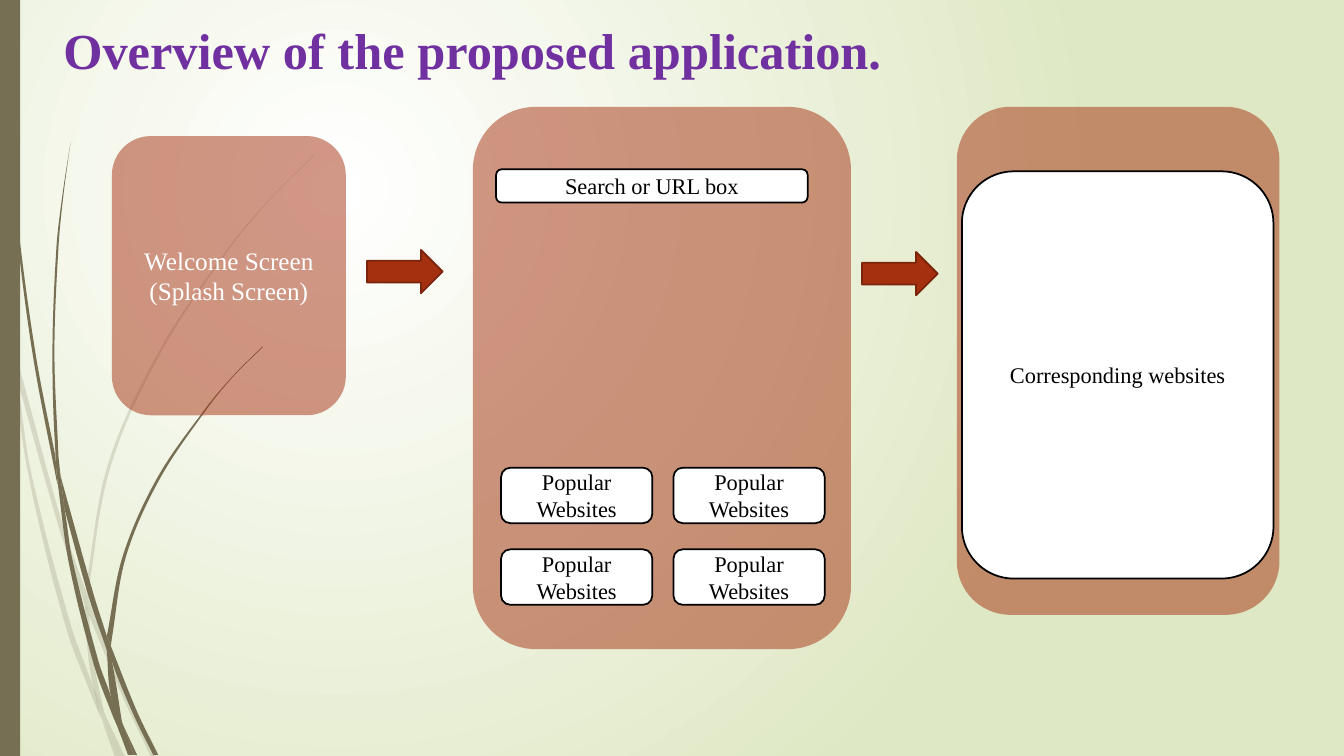
from dataclasses import dataclass
from itertools import product
from math import dist

from lxml.etree import SubElement
from pptx import Presentation
from pptx.dml.color import RGBColor
from pptx.enum.shapes import MSO_SHAPE
from pptx.enum.text import MSO_ANCHOR, PP_ALIGN
from pptx.oxml.ns import qn
from pptx.slide import Slide
from pptx.text.text import TextFrame
from pptx.util import Inches, Pt

FONT = "Times New Roman"
COLORS = {"white": "FFFFFF", "black": "000000", "meadow": "DFE8C4", "grass": "766F54",
          "rust": "A53010", "rust_edge": "7A240C", "purple": "7030A0"}
Point = tuple[float, float]


@dataclass
class Box:
    left: float
    top: float
    width: float
    height: float
    fill: str = "white"
    edge: str | None = "black"
    opacity: int = 100
    lines: tuple[str, ...] = ()
    size: int = 16
    ink: str = "black"
    kind: MSO_SHAPE = MSO_SHAPE.ROUNDED_RECTANGLE


@dataclass
class Blade:
    down: list[Point]
    up: list[Point]
    opacity: int = 100


PALE_BLADES = [
    ([(0, 2.82), (0.09, 3.22), (0.11, 3.5)], [(0.1, 3.44), (0, 2.99)]),
    ([(0.17, 3.76), (0.58, 5.22), (0.84, 5.99)], [(0.85, 5.86), (0.62, 5.2), (0.14, 3.45)]),
    ([(0.88, 6.1), (1.23, 6.94), (1.5, 7.51)],
     [(1.55, 7.51), (1.27, 6.92), (0.92, 6.07), (0.88, 5.96)]),
    ([(1.05, 7.11), (1.19, 7.51)], [(1.24, 7.51), (1.05, 7.11)]),
    ([(0.11, 3.5), (0.28, 4.7), (0.65, 6.21), (0.92, 6.93), (1.01, 7.14)],
     [(0.99, 7.07), (0.93, 6.83), (0.7, 6.19), (0.31, 4.69), (0.17, 3.76), (0.11, 3.5)]),
    ([(0.84, 5.99), (0.87, 6.46), (0.93, 6.83), (1.05, 7.11)],
     [(1.03, 7.06), (0.91, 6.46), (0.88, 6.08), (0.84, 5.99)]),
    ([(3.12, 1.53), (2.68, 1.97), (2.28, 2.44), (1.58, 3.48), (1.07, 4.61), (0.85, 5.84)],
     [(0.88, 5.96), (0.88, 5.84), (1.1, 4.62), (1.6, 3.49), (2.29, 2.45), (2.68, 1.98),
      (3.12, 1.54)]),
    ([(1.01, 7.14), (1.14, 7.51)], [(1.19, 7.51), (1.01, 7.14)]),
    ([(0.85, 5.86), (0.84, 5.99), (0.88, 6.08)], [(0.88, 5.96), (0.85, 5.86)]),
    ([(0.93, 6.83), (0.99, 7.07), (1.19, 7.51)], [(1.05, 7.11), (0.93, 6.83)]),
]
DARK_BLADES = [
    ([(0.03, 0), (0.04, 0.48), (0.07, 1.1), (0.17, 2.33), (0.33, 3.55), (0.57, 4.81)],
     [(0.55, 4.53), (0.36, 3.55), (0.19, 2.32), (0.08, 1.09), (0.05, 0.48), (0.04, 0)]),
    ([(0.64, 5.05), (0.88, 5.92), (1.06, 6.45)], [(1.06, 6.31), (0.93, 5.9), (0.6, 4.72)]),
    ([(1.1, 6.41), (1.11, 6.56), (1.32, 7.08), (1.52, 7.49)],
     [(1.57, 7.49), (1.36, 7.06), (1.1, 6.41)]),
    ([(0.57, 4.77), (0.68, 5.57), (0.93, 6.59), (1.11, 7.08), (1.17, 7.22)],
     [(1.16, 7.17), (1.1, 6.91), (0.98, 6.57), (0.72, 5.56), (0.64, 5.05), (0.57, 4.77)]),
    ([(0.7, 1.41), (0.62, 1.93), (0.56, 2.45), (0.52, 3.49), (0.55, 4.49), (0.6, 4.72)],
     [(0.58, 4.53), (0.54, 3.49), (0.58, 2.45), (0.63, 1.93), (0.7, 1.41)]),
    ([(1.22, 7.19), (1.33, 7.49)], [(1.36, 7.49), (1.22, 7.19)]),
    ([(0.55, 4.49), (0.57, 4.77), (0.64, 5.05)], [(0.6, 4.72), (0.55, 4.49)]),
    ([(2.6, 3.44), (2.31, 3.73), (2.04, 4.05), (1.56, 4.74), (1.22, 5.51), (1.06, 6.31)],
     [(1.1, 6.41), (1.11, 6.33), (1.25, 5.52), (1.58, 4.76), (2.05, 4.06), (2.31, 3.74),
      (2.61, 3.44)]),
    ([(1.17, 7.22), (1.27, 7.49)], [(1.31, 7.49), (1.17, 7.22)]),
    ([(1.06, 6.45), (1.1, 6.91), (1.22, 7.19)], [(1.21, 7.16), (1.11, 6.56), (1.06, 6.45)]),
    ([(1.06, 6.31), (1.06, 6.45), (1.11, 6.56)], [(1.1, 6.41), (1.06, 6.31)]),
    ([(1.1, 6.91), (1.17, 7.22), (1.3, 7.49)], [(1.33, 7.49), (1.22, 7.19), (1.1, 6.91)]),
]
BLADES = [Blade(*edges, 20) for edges in PALE_BLADES] + [Blade(*edges) for edges in DARK_BLADES]

SIDE_BAR = Box(0, 0, 0.2, 7.5, "grass", None, kind=MSO_SHAPE.RECTANGLE)
WELCOME = Box(1.11, 1.35, 2.32, 2.77, "rust", None, 50,
              ("Welcome Screen", "(Splash Screen)"), 18, "white")
HOME_SCREEN = Box(4.69, 1.06, 3.75, 5.38, "rust", None, 50)
SEARCH = Box(4.92, 1.68, 3.09, 0.33, lines=("Search or URL box",))
SITE_TILES = [
    Box(4.97 + 1.71 * column, 4.64 + 0.81 * row, 1.5, 0.55, lines=("Popular Websites",))
    for row, column in product(range(2), repeat=2)
]
ARROWS = [
    Box(left, top, 0.75, 0.43, "rust", "rust_edge", kind=MSO_SHAPE.RIGHT_ARROW)
    for left, top in ((3.64, 2.48), (8.55, 2.5))
]
SITE_SCREEN = Box(9.49, 1.06, 3.2, 5.04, "rust", None, 50)
SITE_PAGE = Box(9.54, 1.7, 3.09, 4.04, lines=("Corresponding websites",))
BOXES = [WELCOME, HOME_SCREEN, SEARCH, *SITE_TILES, *ARROWS, SITE_SCREEN, SITE_PAGE]


def color(name: str) -> RGBColor:
    return RGBColor.from_string(COLORS[name])


def paint(shape, fill: str, edge: str | None, opacity: int) -> None:
    shape.shadow.inherit = False
    shape.fill.solid()
    shape.fill.fore_color.rgb = color(fill)
    if opacity < 100:
        tint = shape.fill._xPr.find(qn("a:solidFill"))[0]
        SubElement(tint, qn("a:alpha"), val=str(opacity * 1000))
    if edge is None:
        shape.line.fill.background()
    else:
        shape.line.color.rgb = color(edge)
        shape.line.width = Pt(1.25)


def write(frame: TextFrame, lines: tuple[str, ...], size: int, ink: str,
          alignment: PP_ALIGN, anchor: MSO_ANCHOR, bold: bool = False) -> None:
    frame.word_wrap = True
    frame.vertical_anchor = anchor
    for index, line in enumerate(lines):
        paragraph = frame.add_paragraph() if index else frame.paragraphs[0]
        paragraph.alignment = alignment
        run = paragraph.add_run()
        run.text = line
        run.font.name = FONT
        run.font.size = Pt(size)
        run.font.bold = bold
        run.font.color.rgb = color(ink)


def draw_box(slide: Slide, box: Box) -> None:
    shape = slide.shapes.add_shape(box.kind, Inches(box.left), Inches(box.top),
                                   Inches(box.width), Inches(box.height))
    paint(shape, box.fill, box.edge, box.opacity)
    if box.lines:
        write(shape.text_frame, box.lines, box.size, box.ink,
              PP_ALIGN.CENTER, MSO_ANCHOR.MIDDLE)


def handle(start: Point, before: Point, after: Point, reach: float) -> Point:
    scale = reach / 3 / dist(before, after)
    return (start[0] + scale * (after[0] - before[0]), start[1] + scale * (after[1] - before[1]))


def curve_through(edge: list[Point]) -> list[Point]:
    padded = [edge[0], *edge, edge[-1]]
    controls = []
    for before, start, end, after in zip(padded, padded[1:], padded[2:], padded[3:]):
        reach = dist(start, end)
        controls += [handle(start, before, end, reach), handle(end, after, start, reach), end]
    return controls


def draw_blade(slide: Slide, blade: Blade) -> None:
    tip = [blade.down[-1], blade.up[0], blade.up[0]]
    outline = [blade.down[0], *curve_through(blade.down), *tip, *curve_through(blade.up)]
    corners = [(Inches(x), Inches(y)) for x, y in outline]
    builder = slide.shapes.build_freeform(*corners[0])
    builder.add_line_segments(corners[1:], close=True)
    shape = builder.convert_to_shape()
    segments = list(shape._element.iter(qn("a:lnTo")))
    for first, second, third in zip(segments[::3], segments[1::3], segments[2::3]):
        first.tag = qn("a:cubicBezTo")
        for segment in (second, third):
            first.append(segment[0])
            segment.getparent().remove(segment)
    paint(shape, "grass", None, blade.opacity)


def draw_background(slide: Slide) -> None:
    fill = slide.background.fill
    fill.gradient()
    for position, name in enumerate(("white", "meadow")):
        fill.gradient_stops[position].color.rgb = color(name)
        fill.gradient_stops[position].position = position
    gradient = fill._xPr.find(qn("a:gradFill"))
    gradient.remove(gradient.find(qn("a:lin")))
    circle = SubElement(gradient, qn("a:path"), attrib={"path": "circle"})
    SubElement(circle, qn("a:fillToRect"), l="50000", t="50000", r="100000", b="100000")


def main() -> None:
    presentation = Presentation()
    presentation.slide_width, presentation.slide_height = Inches(13.33), Inches(7.5)
    slide = presentation.slides.add_slide(presentation.slide_layouts[6])
    draw_background(slide)
    for blade in BLADES:
        draw_blade(slide, blade)
    draw_box(slide, SIDE_BAR)
    title = slide.shapes.add_textbox(Inches(0.53), Inches(0.14), Inches(9.75), Inches(1.4))
    write(title.text_frame, ("Overview of the proposed application.",), 36, "purple",
          PP_ALIGN.LEFT, MSO_ANCHOR.TOP, bold=True)
    for box in BOXES:
        draw_box(slide, box)
    presentation.save("out.pptx")


if __name__ == "__main__":
    main()
